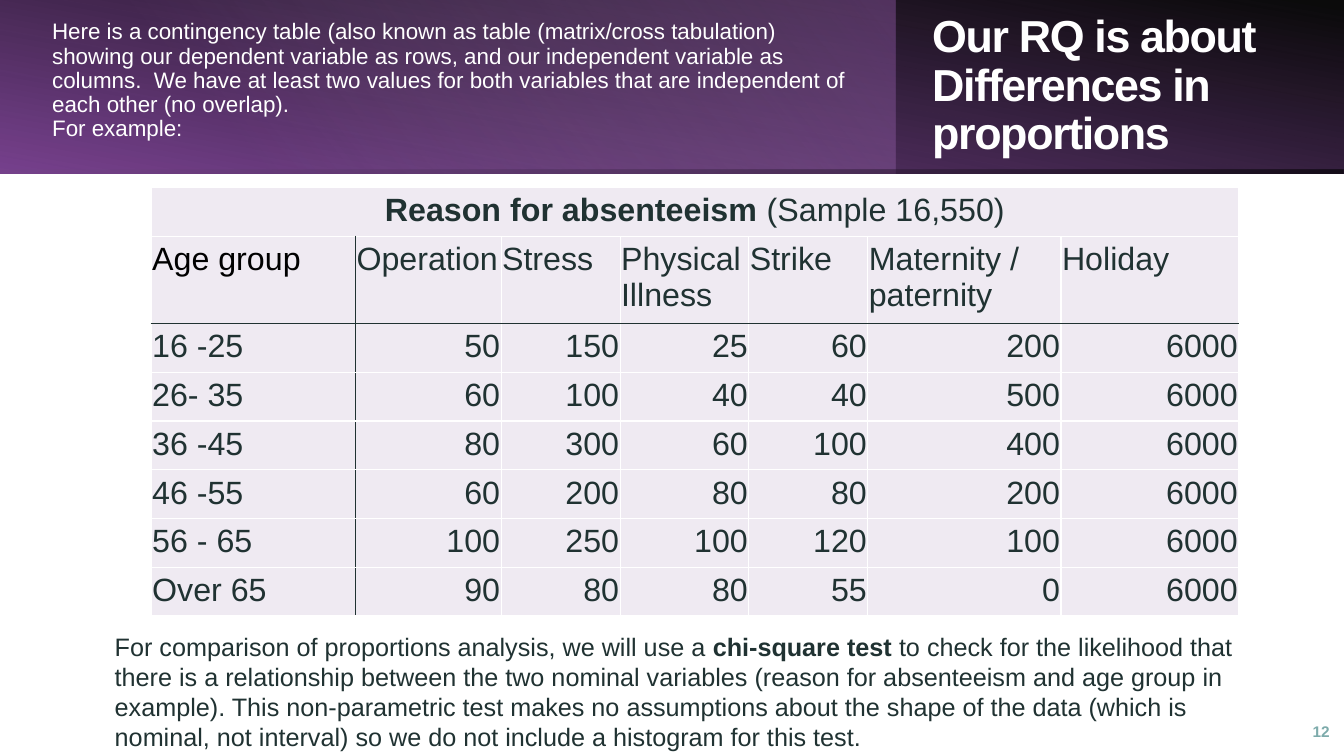
"""Builds a slide with a contingency table of absenteeism reasons by age group."""
from lxml import etree
from pptx import Presentation
from pptx import util as u
from pptx.dml import color
from pptx.enum import shapes, text
from pptx.oxml import ns

INK, WHITE, CELL_FILL = "203232", "FFFFFF", "EFEAF2"
LEFT, CENTER, RIGHT = text.PP_ALIGN.LEFT, text.PP_ALIGN.CENTER, text.PP_ALIGN.RIGHT


def rgb(value):
    return color.RGBColor.from_string(value)


def write(frame, paragraphs, size, ink=INK, align=LEFT, line=None, before=None,
          after=None, tracking=None):
    """Fill a text frame; each paragraph is a list of (text, bold) runs."""
    frame.word_wrap = True
    for index, runs in enumerate(paragraphs):
        paragraph = frame.paragraphs[0] if index == 0 else frame.add_paragraph()
        paragraph.alignment = align
        paragraph.line_spacing = line
        paragraph.space_before, paragraph.space_after = before, after
        for words, bold in runs:
            run = paragraph.add_run()
            run.text = words
            run.font.name, run.font.size, run.font.bold = "Arial", u.Pt(size), bold
            run.font.color.rgb = rgb(ink)
            if tracking:
                run._r.get_or_add_rPr().set("spc", str(tracking))


presentation = Presentation()
presentation.slide_width, presentation.slide_height = u.Pt(960), u.Pt(540)
slide = presentation.slides.add_slide(presentation.slide_layouts[6])

# width, rotation, flipped, angle, stops (position, colour, opacity)
banner_layers = [
    (960, 180, True, 260, [(0, "000000", 96), (100, "77418E", 100)]),
    (640, 0, False, 320, [(26, "C49FD3", 0), (100, "9C5FB5", 41)]),
    (960, 0, True, 100, [(22, "9C5FB5", 15), (100, "000000", 63)]),
]
for width, rotation, flipped, angle, stops in banner_layers:
    layer = slide.shapes.add_shape(shapes.MSO_SHAPE.RECTANGLE, 0, 0, u.Pt(width), u.Pt(124))
    layer.shadow.inherit = False
    layer.line.fill.background()
    layer.rotation = rotation
    properties = layer._element.spPr
    if flipped:
        properties.find(ns.qn("a:xfrm")).set("flipH", "1")
    gradient = etree.Element(ns.qn("a:gradFill"))
    stop_list = etree.SubElement(gradient, ns.qn("a:gsLst"))
    for position, shade, opacity in stops:
        stop = etree.SubElement(stop_list, ns.qn("a:gs"), pos=str(position * 1000))
        tone = etree.SubElement(stop, ns.qn("a:srgbClr"), val=shade)
        etree.SubElement(tone, ns.qn("a:alpha"), val=str(opacity * 1000))
    etree.SubElement(gradient, ns.qn("a:lin"), ang=str(angle * 60000), scaled="0")
    properties.find(ns.qn("a:prstGeom")).addnext(gradient)

introduction = (
    "Here is a contingency table (also known as table (matrix/cross tabulation) showing our "
    "dependent variable as rows, and our independent variable as columns.  We have at least two "
    "values for both variables that are independent of each other (no overlap).")
conclusion = [
    ("For comparison of proportions analysis, we will use a ", False),
    ("chi-square test ", True),
    ("to check for the likelihood that there is a relationship between the two nominal variables "
     "(reason for absenteeism and age group in example). This non-parametric test makes no "
     "assumptions about the shape of the data (which is nominal, not interval) so we do not "
     "include a histogram for this test.", False),
]
middle, top = text.MSO_ANCHOR.MIDDLE, text.MSO_ANCHOR.TOP
text_boxes = [
    ((30.2, 9.4, 593.3, 97), middle, [[(introduction, False)], [("For example:", False)]],
     dict(size=16, ink=WHITE, line=0.9)),
    ((658.8, 27.4, 254.9, 69), middle, [[("Our RQ is about Differences in proportions", True)]],
     dict(size=32, ink=WHITE, line=0.9, before=u.Pt(10), after=u.Pt(9.9), tracking=-100)),
    ((921.6, 508.3, 35.3, 28.8), middle, [[("12", True)]],
     dict(size=11, ink="7DABAB", align=RIGHT, after=u.Pt(6))),
    ((74.9, 447.1, 838.1, 93.6), top, [conclusion], dict(size=18)),
]
for place, anchor, paragraphs, style in text_boxes:
    box = slide.shapes.add_textbox(*map(u.Pt, place))
    box.text_frame.vertical_anchor = anchor
    write(box.text_frame, paragraphs, **style)

headings = ["Age group", "Operation", "Stress", "Physical Illness", "Strike",
            "Maternity /\npaternity", "Holiday"]
absences = [
    ("16 -25", 50, 150, 25, 60, 200, 6000),
    ("26- 35", 60, 100, 40, 40, 500, 6000),
    ("36 -45", 80, 300, 60, 100, 400, 6000),
    ("46 -55", 60, 200, 80, 80, 200, 6000),
    ("56 - 65", 100, 250, 100, 120, 100, 6000),
    ("Over 65", 90, 80, 80, 55, 0, 6000),
]
column_widths = [146, 104, 85, 92, 85, 138, 127]
row_heights = [34.6, 62] + [34.6] * len(absences)
frame = slide.shapes.add_table(len(row_heights), len(column_widths), u.Pt(108), u.Pt(133.9),
                               u.Pt(sum(column_widths)), u.Pt(sum(row_heights)))
table = frame.table
table.first_row = table.horz_banding = False
for column, width in zip(table.columns, column_widths):
    column.width = u.Pt(width)
for row, height in zip(table.rows, row_heights):
    row.height = u.Pt(height)
table.cell(0, 0).merge(table.cell(0, len(column_widths) - 1))

for r in range(len(row_heights)):
    for c in range(len(column_widths)):
        cell = table.cell(r, c)
        cell.margin_left = cell.margin_right = u.Pt(0.7)
        cell.margin_top = cell.margin_bottom = u.Pt(3.6)
        dark_sides = {"lnL": r > 0 and c == 1, "lnR": r > 0 and c == 0,
                      "lnT": r == 2, "lnB": r == 1}
        for side, dark in dark_sides.items():
            border = etree.SubElement(cell._tc.get_or_add_tcPr(), ns.qn("a:" + side),
                                      w=str(u.Pt(0.96)))
            solid = etree.SubElement(border, ns.qn("a:solidFill"))
            etree.SubElement(solid, ns.qn("a:srgbClr"), val=INK if dark else WHITE)
        cell.fill.solid()
        cell.fill.fore_color.rgb = rgb(CELL_FILL)
        if r == 1:
            write(cell.text_frame, [[(part, False)] for part in headings[c].split("\n")], 23,
                  ink="000000" if c == 0 else INK)
        elif r > 1:
            write(cell.text_frame, [[(str(absences[r - 2][c]), False)]], 23,
                  align=RIGHT if c else LEFT)
write(table.cell(0, 0).text_frame,
      [[("Reason for absenteeism ", True), ("(Sample 16,550)", False)]], 23, align=CENTER)

presentation.save("out.pptx")
